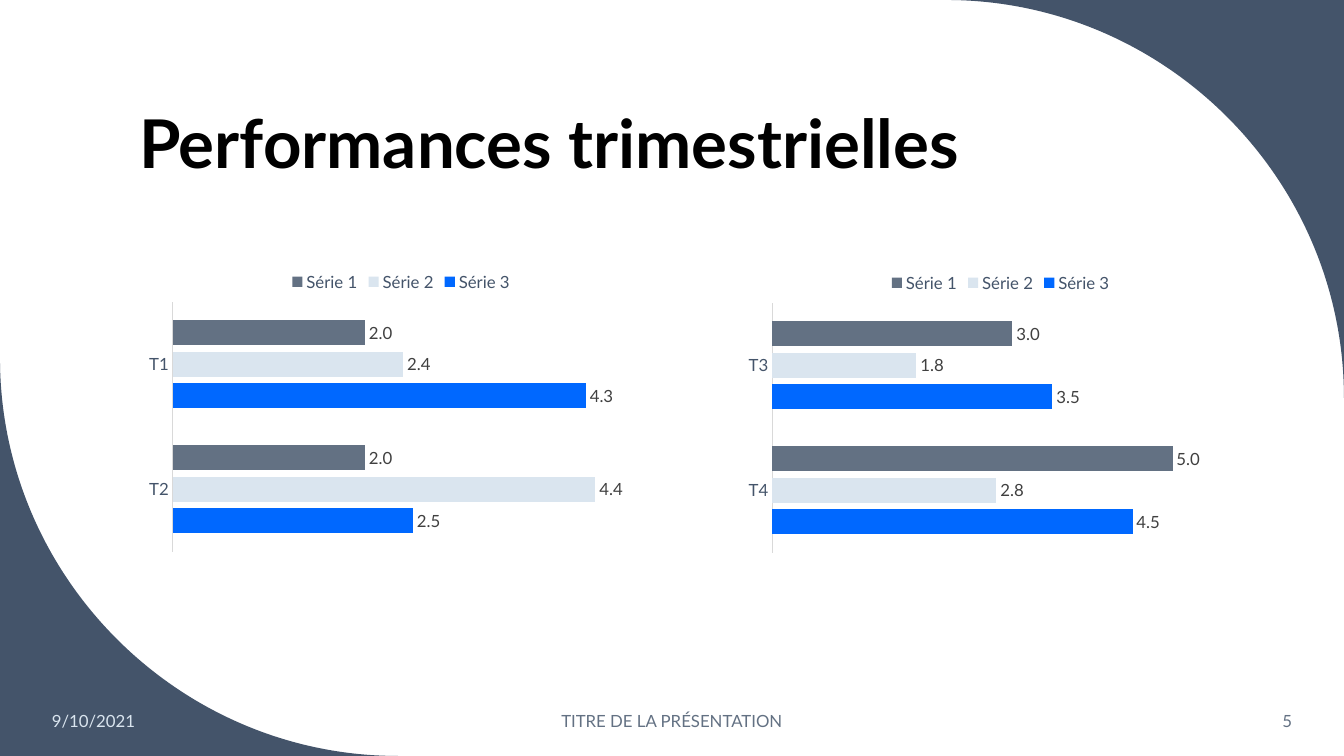
from lxml.etree import SubElement
from pptx import Presentation
from pptx.chart.data import CategoryChartData
from pptx.dml.color import RGBColor
from pptx.enum.chart import (XL_CHART_TYPE, XL_LABEL_POSITION,
                             XL_LEGEND_POSITION, XL_TICK_LABEL_POSITION,
                             XL_TICK_MARK)
from pptx.enum.text import MSO_ANCHOR, PP_ALIGN
from pptx.oxml.ns import qn
from pptx.util import Emu, Pt

EMU_PER_PX = 9525  # 96 px to the inch
WIDTH, HEIGHT = 1280, 720
CORNER_RADIUS = 379
ARC_HANDLE = 0.55  # Bézier handle of a quarter circle, as a share of its radius
FONT = "Lato"
COLORS = {
    "background": "FFFFFF",
    "corner": "44546A",
    "title": "000000",
    "axis_text": "44546A",
    "axis_line": "D9D9D9",
    "label": "404040",
    "date": "DAE5EF",
    "footer": "637183",
    "Série 1": "637183",
    "Série 2": "DAE5EF",
    "Série 3": "0068FF",
}


def px(length):
    return Emu(round(length * EMU_PER_PX))


def rgb(name):
    return RGBColor.from_string(COLORS[name])


def style_font(font, size, color, bold=False):
    font.name = FONT
    font.size = Pt(size)
    font.bold = bold
    font.color.rgb = rgb(color)


def add_text(slide, box, text, size, color, bold=False,
             align=PP_ALIGN.LEFT, anchor=MSO_ANCHOR.MIDDLE, spacing=1.0):
    frame = slide.shapes.add_textbox(*map(px, box)).text_frame
    frame.word_wrap = True
    frame.vertical_anchor = anchor
    paragraph = frame.paragraphs[0]
    paragraph.alignment = align
    paragraph.line_spacing = spacing
    run = paragraph.add_run()
    run.text = text
    style_font(run.font, size, color, bold)


def add_corner(slide, corner_x, corner_y, inward_x, inward_y):
    """Fill the area between a slide corner and a quarter circle."""
    far_x = corner_x + inward_x * CORNER_RADIUS
    far_y = corner_y + inward_y * CORNER_RADIUS
    builder = slide.shapes.build_freeform(px(corner_x), px(corner_y))
    builder.add_line_segments([(px(far_x), px(corner_y)),
                               (px(corner_x), px(far_y))], close=True)
    corner = builder.convert_to_shape()
    corner.shadow.inherit = False
    corner.fill.solid()
    corner.fill.fore_color.rgb = rgb("corner")
    corner.line.fill.background()

    # Bend the slanted side into a quarter circle
    left, top = min(corner_x, far_x), min(corner_y, far_y)
    handle = CORNER_RADIUS * ARC_HANDLE
    side = list(corner.element.iter(qn("a:lnTo")))[1]
    side.tag = qn("a:cubicBezTo")
    side.remove(side[0])
    for x, y in ((far_x - inward_x * handle, corner_y),
                 (corner_x, far_y - inward_y * handle),
                 (corner_x, far_y)):
        SubElement(side, qn("a:pt"), x=str(px(x - left)), y=str(px(y - top)))


def add_quarter_chart(slide, box, quarters, results):
    data = CategoryChartData(number_format="#,##0.0")
    data.categories = quarters
    for name, values in results.items():
        data.add_series(name, values)
    chart = slide.shapes.add_chart(
        XL_CHART_TYPE.BAR_CLUSTERED, *map(px, box), data).chart
    chart.has_title = False
    style_font(chart.font, 10, "title")

    # Legend
    chart.has_legend = True
    chart.legend.position = XL_LEGEND_POSITION.TOP
    chart.legend.include_in_layout = False
    style_font(chart.legend.font, 12, "axis_text")

    # Axes
    quarter_axis = chart.category_axis
    quarter_axis.major_tick_mark = XL_TICK_MARK.NONE
    quarter_axis.minor_tick_mark = XL_TICK_MARK.NONE
    quarter_axis.tick_label_position = XL_TICK_LABEL_POSITION.NEXT_TO_AXIS
    style_font(quarter_axis.tick_labels.font, 12, "axis_text")
    quarter_axis.format.line.color.rgb = rgb("axis_line")
    quarter_axis.format.line.width = Pt(0.75)
    chart.value_axis.visible = False
    chart.value_axis.has_major_gridlines = False
    chart.value_axis.minimum_scale = 0

    # Bars and their values
    plot = chart.plots[0]
    plot.gap_width = 150
    plot.overlap = -25
    plot.vary_by_categories = False
    for series in plot.series:
        series.invert_if_negative = False
        series.format.fill.solid()
        series.format.fill.fore_color.rgb = rgb(series.name)
        labels = series.data_labels
        labels.show_value = True
        labels.number_format = "#,##0.0"
        labels.number_format_is_linked = False
        labels.position = XL_LABEL_POSITION.OUTSIDE_END
        style_font(labels.font, 12, "label")


def add_footer(slide, top, height):
    add_text(slide, (40, top, 179, height), "9/10/2021", 12, "date")
    add_text(slide, (424, top, 432, height), "TITRE DE LA PRÉSENTATION",
             12, "footer", align=PP_ALIGN.CENTER)
    add_text(slide, (1066, top, 174, height), "5", 12, "footer",
             align=PP_ALIGN.RIGHT)


def build_slide(presentation):
    slide = presentation.slides.add_slide(presentation.slide_layouts[6])
    slide.background.fill.solid()
    slide.background.fill.fore_color.rgb = rgb("background")

    # Top right and bottom left corners
    add_corner(slide, WIDTH, 0, -1, 1)
    add_corner(slide, 0, HEIGHT, 1, -1)

    add_text(slide, (123, 40, 1026, 139), "Performances trimestrielles",
             48, "title", bold=True, anchor=MSO_ANCHOR.BOTTOM, spacing=0.9)

    # Bars stack upwards, so the last quarter and series come first
    add_quarter_chart(slide, (132, 248, 500, 283), ["T2", "T1"], {
        "Série 3": (2.5, 4.3),
        "Série 2": (4.4, 2.4),
        "Série 1": (2.0, 2.0),
    })
    add_quarter_chart(slide, (703, 249, 500, 283), ["T4", "T3"], {
        "Série 3": (4.5, 3.5),
        "Série 2": (2.8, 1.8),
        "Série 1": (5.0, 3.0),
    })

    add_footer(slide, 667, 38)


def main():
    presentation = Presentation()
    presentation.slide_width = px(WIDTH)
    presentation.slide_height = px(HEIGHT)
    build_slide(presentation)
    presentation.save("out.pptx")


if __name__ == "__main__":
    main()
